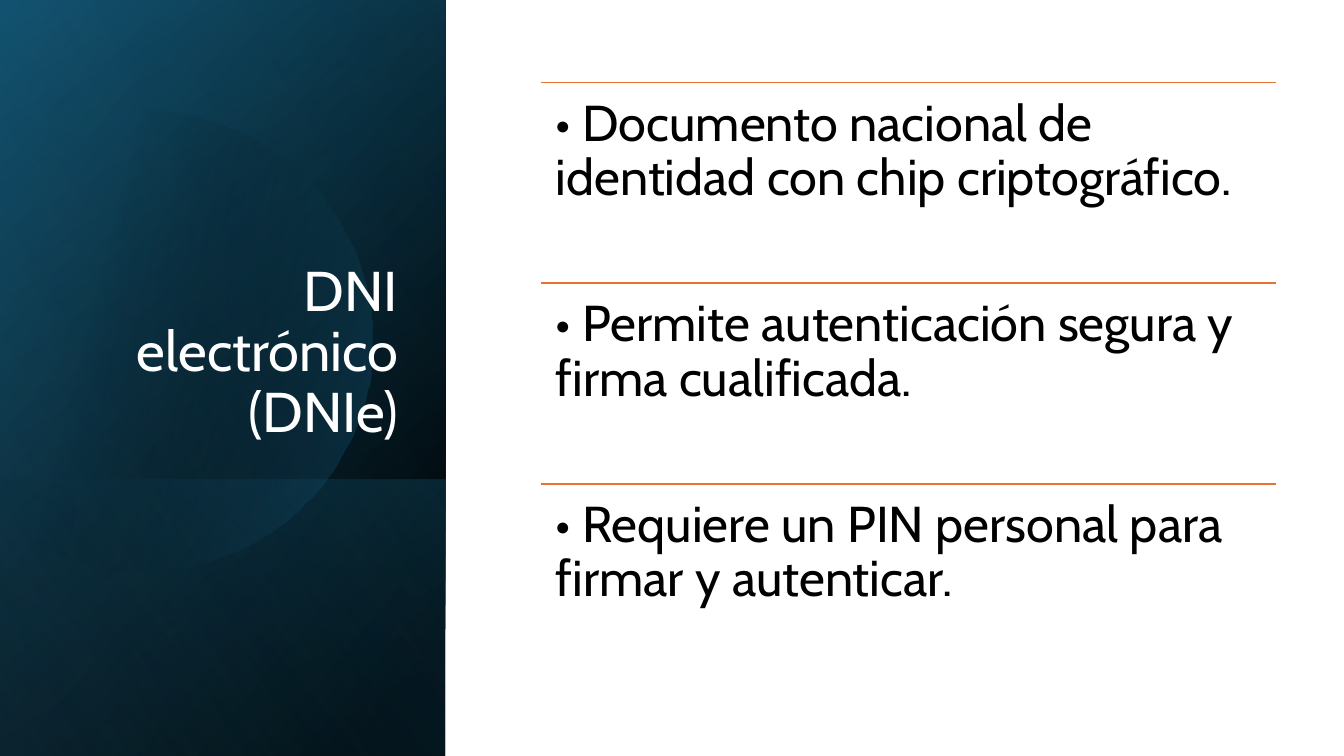
import math

from lxml import etree
from pptx import Presentation
from pptx.enum import shapes, text
from pptx.dml.color import RGBColor
from pptx.oxml import ns
from pptx.util import Pt

COLORS = {
    "white": "FFFFFF",
    "black": "000000",
    "navy": "104862",
    "teal": "156082",
    "sky": "46B1E1",
    "orange": "E97132",
}
PANEL_WIDTH, SLIDE_WIDTH, SLIDE_HEIGHT = 318.2, 960, 540
FEATURES = [
    "• Documento nacional de identidad con chip criptográfico.",
    "• Permite autenticación segura y firma cualificada.",
    "• Requiere un PIN personal para firmar y autenticar.",
]
FEATURE_LEFT, FEATURE_TOP, FEATURE_WIDTH, FEATURE_PITCH = 386.2, 59, 525, 143.3


class SlideBuilder:
    font = "Cabin"

    def __init__(self, slide):
        self.slide = slide

    def gradient(self, shape, stops, angle):
        """Fill with stops of (position %, colour name, opacity %)."""
        shape.shadow.inherit = False
        shape.line.fill.background()
        shape.fill.gradient()
        shape.fill.gradient_angle = 0
        grad = shape._element.spPr.find(ns.qn("a:gradFill"))
        grad.set("rotWithShape", "1")
        grad.find(ns.qn("a:lin")).set("ang", str(angle * 60000))
        stop_list = grad.find(ns.qn("a:gsLst"))
        for old_stop in list(stop_list):
            stop_list.remove(old_stop)
        for position, color, opacity in stops:
            stop = etree.SubElement(stop_list, ns.qn("a:gs"), pos=str(position * 1000))
            rgb = etree.SubElement(stop, ns.qn("a:srgbClr"), val=COLORS[color])
            if opacity < 100:
                etree.SubElement(rgb, ns.qn("a:alpha"), val=str(opacity * 1000))

    def panel(self, top, height, stops, angle):
        """Upright panel at the left edge, made of a mirrored rectangle turned by 90°."""
        left = (PANEL_WIDTH - height) / 2
        turned_top = top + (height - PANEL_WIDTH) / 2
        panel = self.slide.shapes.add_shape(
            shapes.MSO_SHAPE.RECTANGLE,
            Pt(left), Pt(turned_top), Pt(height), Pt(PANEL_WIDTH))
        panel.rotation = 90
        panel._element.spPr.xfrm.set("flipH", "1")
        self.gradient(panel, stops, angle)

    def cut_disc(self, center_x, center_y, radius, stops, angle):
        """Disc cut off straight at the slide's left edge."""
        limit = math.acos(-center_x / radius)
        steps = 120
        turns = [limit * (2 * step / steps - 1) for step in range(steps + 1)]
        rim = [(center_x + radius * math.cos(turn), center_y + radius * math.sin(turn))
               for turn in turns]
        outline = self.slide.shapes.build_freeform(*rim[0], scale=Pt(1))
        outline.add_line_segments(rim[1:], close=True)
        self.gradient(outline.convert_to_shape(), stops, angle)

    def wording(self, frame, words, size, color, align):
        """Set the words of a text frame and format them."""
        frame.text = words
        frame.word_wrap = True
        frame.auto_size = text.MSO_AUTO_SIZE.NONE
        paragraph = frame.paragraphs[0]
        paragraph.alignment = align
        paragraph.line_spacing = 0.9
        font = paragraph.runs[0].font
        font.name, font.size = self.font, Pt(size)
        font.color.rgb = RGBColor.from_string(COLORS[color])

    def title(self, words, left, top, width, height):
        title = self.slide.shapes.title
        title.left, title.top = Pt(left), Pt(top)
        title.width, title.height = Pt(width), Pt(height)
        self.wording(title.text_frame, words, 40, "white", text.PP_ALIGN.RIGHT)
        title.text_frame.vertical_anchor = text.MSO_ANCHOR.BOTTOM
        self.slide.shapes._spTree.append(title._element)  # bring in front of the panels

    def rule(self, left, top, width):
        rule = self.slide.shapes.add_connector(
            shapes.MSO_CONNECTOR.STRAIGHT, Pt(left), Pt(top), Pt(left + width), Pt(top))
        rule.line.color.rgb = RGBColor.from_string(COLORS["orange"])
        rule.line.width = Pt(1)
        etree.SubElement(rule._element.spPr, ns.qn("a:effectLst"))

    def feature(self, words, left, top, width, height):
        self.rule(left, top, width)
        feature = self.slide.shapes.add_textbox(Pt(left), Pt(top), Pt(width), Pt(height))
        frame = feature.text_frame
        frame.margin_left = frame.margin_right = Pt(10.8)
        frame.margin_top = frame.margin_bottom = Pt(10.8)
        self.wording(frame, words, 36, "black", text.PP_ALIGN.LEFT)


def main():
    deck = Presentation()
    deck.slide_width, deck.slide_height = Pt(SLIDE_WIDTH), Pt(SLIDE_HEIGHT)
    builder = SlideBuilder(deck.slides.add_slide(deck.slide_layouts[5]))

    builder.panel(0, SLIDE_HEIGHT, [(8, "black", 100), (100, "navy", 100)], 50)
    builder.panel(0, SLIDE_HEIGHT, [(0, "black", 0), (99, "teal", 46)], 30)
    builder.panel(342.7, 197.3, [(2, "teal", 29), (100, "black", 30)], 130)
    builder.cut_disc(102.2, 243.4, 164.2, [(29, "black", 0), (100, "teal", 43)], 14)
    builder.panel(0, SLIDE_HEIGHT, [(0, "black", 0), (99, "sky", 11)], 120)

    builder.title("DNI electrónico (DNIe)", 46.1, 132.5, 245.5, 188.6)
    for row, words in enumerate(FEATURES):
        builder.feature(words, FEATURE_LEFT, FEATURE_TOP + row * FEATURE_PITCH,
                        FEATURE_WIDTH, FEATURE_PITCH)

    deck.save("out.pptx")


if __name__ == "__main__":
    main()
